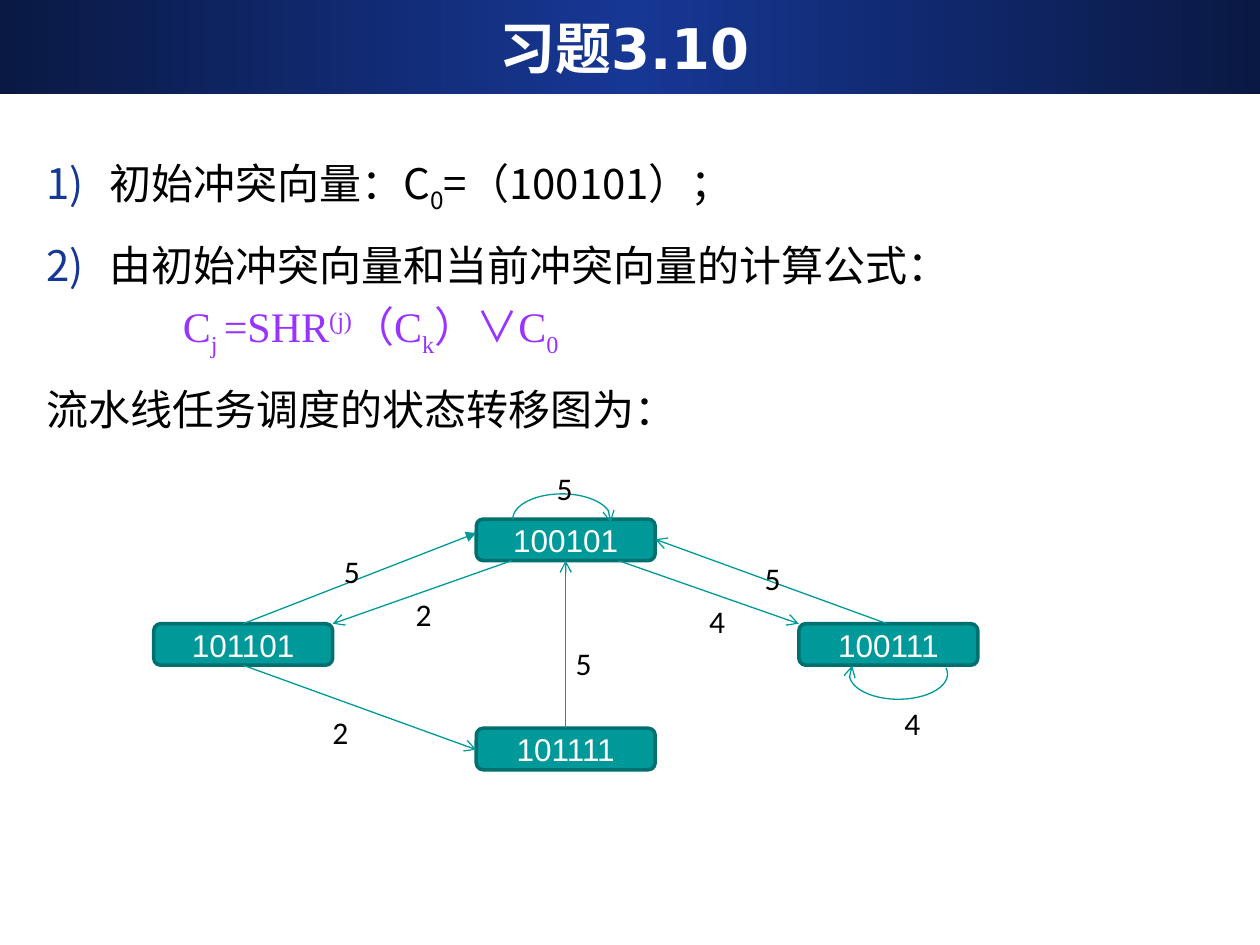
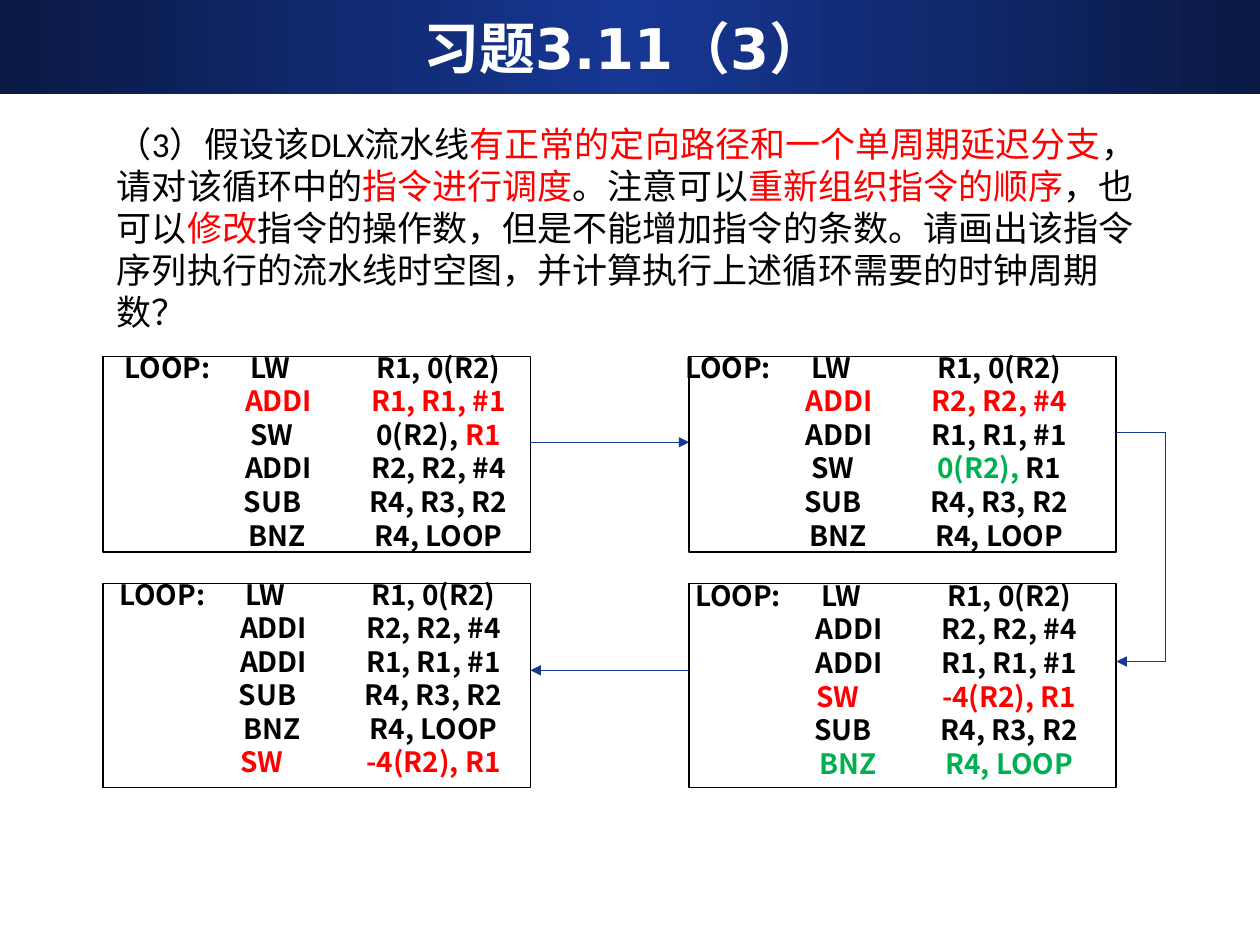
from dataclasses import dataclass
from itertools import pairwise
from math import cos, radians, sin

from lxml import etree
from pptx import Presentation
from pptx.dml.color import RGBColor
from pptx.enum.shapes import MSO_CONNECTOR, MSO_SHAPE
from pptx.enum.text import MSO_ANCHOR, MSO_AUTO_SIZE, PP_ALIGN
from pptx.oxml.ns import qn
from pptx.util import Inches, Pt

CENTER = PP_ALIGN.CENTER
MIDDLE = MSO_ANCHOR.MIDDLE
NO_AUTOFIT = MSO_AUTO_SIZE.NONE
STRAIGHT = MSO_CONNECTOR.STRAIGHT
RECTANGLE = MSO_SHAPE.RECTANGLE
ROUNDED = MSO_SHAPE.ROUNDED_RECTANGLE
TITLE_ONLY = 5
SUBSCRIPT, SUPERSCRIPT = -25, 30


@dataclass(frozen=True)
class Theme:
    navy: str = "0A1944"
    blue: str = "163794"
    teal: str = "009999"
    dark_teal: str = "006F6F"
    violet: str = "9933FF"
    red: str = "FF0000"
    green: str = "00B050"
    black: str = "000000"
    white: str = "FFFFFF"
    title_font: str = "DejaVu Sans"
    chinese_font: str = "Noto Sans CJK SC"
    formula_font: str = "Times New Roman"
    text_font: str = "Calibri"
    state_font: str = "Arial"
    title_size: int = 32
    body_size: int = 24
    question_size: int = 20
    state_size: int = 18
    code_size: int = 16
    thin: float = 0.75


THEME = Theme()


def color(value):
    return RGBColor.from_string(value)


def box(*lengths):
    return [Inches(length) for length in lengths]


def add_xml(parent, tag, **attributes):
    return etree.SubElement(parent, qn(tag), attributes)


class Deck:
    def __init__(self, theme):
        self.theme = theme
        self.presentation = Presentation()
        self.presentation.slide_width = Inches(10)
        self.presentation.slide_height = Inches(7.5)
        self.layout = self.presentation.slide_layouts[TITLE_ONLY]
        self.slide = None

    def add_slide(self, title):
        first = self.slide is None
        self.slide = self.presentation.slides.add_slide(self.layout)
        if first:
            self.move_band_to_layout()
        shape = self.slide.shapes.title
        shape.left, shape.top, shape.width, shape.height = box(0.33, 0.06, 9.25, 0.62)
        frame = shape.text_frame
        frame.text = title
        frame.auto_size = NO_AUTOFIT
        frame.vertical_anchor = MIDDLE
        paragraph = frame.paragraphs[0]
        paragraph.alignment = CENTER
        self.style(paragraph.font, self.theme.title_font, self.theme.title_size,
                   self.theme.white, bold=True)

    def move_band_to_layout(self):
        """Draw the gradient band once, behind the title of every slide."""
        band = self.slide.shapes.add_shape(RECTANGLE, *box(0, 0, 10, 0.75))
        band.shadow.inherit = False
        band.line.fill.background()
        band.fill.gradient()
        band.fill.gradient_angle = 0
        stops = band.fill._fill._gradFill.find(qn("a:gsLst"))
        for stop in list(stops):
            stops.remove(stop)
        for position, value in ((0, self.theme.navy), (50, self.theme.blue),
                                (100, self.theme.navy)):
            stop = add_xml(stops, "a:gs", pos=str(position * 1000))
            add_xml(stop, "a:srgbClr", val=value)
        self.layout.shapes._spTree.insert(2, band._element)

    def style(self, font, name, size, value, bold=False):
        font.size = Pt(size)
        font.bold = bold
        font.color.rgb = color(value)
        font.name = name
        add_xml(font._rPr, "a:ea", typeface=self.theme.chinese_font)

    def text_box(self, left, top, width, height, wrap=True):
        frame = self.slide.shapes.add_textbox(*box(left, top, width, height)).text_frame
        frame.word_wrap = wrap
        return frame

    def fill_paragraph(self, paragraph, runs, name, size, value, bold=False):
        """Each run is plain text, or a pair of text and a colour or baseline."""
        paragraph._p.get_or_add_pPr().set("hangingPunct", "0")
        self.style(paragraph.font, name, size, value, bold)
        for item in runs:
            text, change = (item, None) if isinstance(item, str) else item
            run = paragraph.add_run()
            run.text = text
            if isinstance(change, str):
                run.font.color.rgb = color(change)
            elif change is not None:
                run.font._rPr.set("baseline", str(change * 1000))

    def indent(self, paragraph, left, hanging, numbered=False):
        properties = paragraph._p.get_or_add_pPr()
        properties.set("marL", str(Inches(left)))
        properties.set("indent", str(-Inches(hanging)))
        if numbered:
            bullet_color = add_xml(properties, "a:buClr")
            add_xml(bullet_color, "a:srgbClr", val=self.theme.blue)
            add_xml(properties, "a:buFont", typeface=self.theme.chinese_font)
            add_xml(properties, "a:buAutoNum", type="arabicParenR")

    def outline(self, shape, value, width, arrow=None):
        shape.line.color.rgb = color(value)
        shape.line.width = Pt(width)
        if arrow:
            add_xml(shape.line._get_or_add_ln(), "a:tailEnd", type=arrow)

    def route(self, points, value, arrow):
        """Join the points with straight lines; the last one has the arrowhead."""
        segments = list(pairwise(points))
        for number, (start, end) in enumerate(segments, 1):
            line = self.slide.shapes.add_connector(STRAIGHT, *box(*start, *end))
            self.outline(line, value, self.theme.thin,
                         arrow if number == len(segments) else None)
            add_xml(line._element.spPr, "a:effectLst")

    def state(self, code, left, top):
        shape = self.slide.shapes.add_shape(ROUNDED, *box(left, top, 1.42, 0.33))
        shape.shadow.inherit = False
        shape.fill.solid()
        shape.fill.fore_color.rgb = color(self.theme.teal)
        self.outline(shape, self.theme.dark_teal, 2)
        shape.text_frame.vertical_anchor = MIDDLE
        paragraph = shape.text_frame.paragraphs[0]
        paragraph.alignment = CENTER
        self.fill_paragraph(paragraph, [code], self.theme.state_font,
                            self.theme.state_size, self.theme.white)

    def self_loop(self, center_x, center_y, start, end, steps=32):
        """Elliptical arc between two angles in degrees, clockwise from the right."""
        angles = [radians(start + (end - start) * step / steps)
                  for step in range(steps + 1)]
        points = [box(center_x + 0.39 * cos(angle), center_y + 0.2 * sin(angle))
                  for angle in angles]
        builder = self.slide.shapes.build_freeform(*points[0])
        builder.add_line_segments(points[1:], close=False)
        shape = builder.convert_to_shape()
        shape.shadow.inherit = False
        shape.fill.background()
        self.outline(shape, self.theme.teal, self.theme.thin, "arrow")

    def label(self, text, left, top):
        frame = self.text_box(left, top, 0.32, 0.4, wrap=False)
        self.fill_paragraph(frame.paragraphs[0], [text], self.theme.text_font,
                            self.theme.state_size, self.theme.black)

    def listing(self, left, top, width, rows):
        frame = self.text_box(left, top, width, 1.7)
        frame.vertical_anchor = MIDDLE
        for number, runs in enumerate(rows):
            paragraph = frame.add_paragraph() if number else frame.paragraphs[0]
            paragraph.alignment = CENTER
            tabs = add_xml(paragraph._p.get_or_add_pPr(), "a:tabLst")
            for inch in range(8):
                add_xml(tabs, "a:tab", pos=str(Inches(inch)), algn="l")
            self.fill_paragraph(paragraph, runs, self.theme.chinese_font,
                                self.theme.code_size, self.theme.black, bold=True)

    def frame(self, left, top, height):
        shape = self.slide.shapes.add_shape(RECTANGLE, *box(left, top, 3.39, height))
        shape.shadow.inherit = False
        shape.fill.background()
        self.outline(shape, self.theme.black, 1)


def build_state_diagram(deck):
    theme = deck.theme
    deck.add_slide("习题3.10")
    for code, left, top in (("100101", 3.78, 4.12), ("101101", 1.22, 4.95),
                            ("100111", 6.34, 4.95), ("101111", 3.78, 5.78)):
        deck.state(code, left, top)
    transitions = (
        ((1.93, 4.95), (3.78, 4.23), "triangle"),
        ((1.93, 5.28), (3.78, 5.95), "arrow"),
        ((4.49, 5.78), (4.49, 4.45), "arrow"),
        ((4.91, 4.45), (6.34, 4.95), "arrow"),
        ((4.06, 4.45), (2.64, 4.95), "arrow"),
        ((7.04, 4.95), (5.2, 4.28), "arrow"),
    )
    for start, end, arrow in transitions:
        deck.route((start, end), theme.teal, arrow)
    deck.self_loop(4.46, 4.12, 180, 368)
    deck.self_loop(7.13, 5.35, -14, 200)
    for text, left, top in (("5", 2.63, 4.33), ("5", 4.32, 3.67), ("2", 3.2, 4.67),
                            ("2", 2.54, 5.61), ("5", 4.47, 5.06), ("5", 5.97, 4.39),
                            ("4", 5.53, 4.73), ("4", 7.08, 5.54)):
        deck.label(text, left, top)

    body = deck.text_box(0.27, 0.97, 8.59, 2.52)
    steps = (
        (["初始冲突向量：C", ("0", SUBSCRIPT), "=（100101）；"], theme.chinese_font, True),
        (["由初始冲突向量和当前冲突向量的计算公式："], theme.formula_font, True),
        ([" C", ("j ", SUBSCRIPT), "=SHR", ("(j)", SUPERSCRIPT), "（C",
          ("k", SUBSCRIPT), "）∨C", ("0", SUBSCRIPT)], theme.formula_font, False),
        (["流水线任务调度的状态转移图为："], theme.chinese_font, False),
    )
    for number, (runs, font, numbered) in enumerate(steps):
        paragraph = body.add_paragraph() if number else body.paragraphs[0]
        is_formula = number == 2
        if is_formula:
            paragraph.space_before = Pt(6)
            deck.indent(paragraph, 1.25, 0.25)
        else:
            paragraph.line_spacing = 1.5
            deck.indent(paragraph, 0.5, 0.5, numbered)
        deck.fill_paragraph(paragraph, runs, font, theme.body_size,
                            theme.violet if is_formula else theme.black)


def build_scheduling(deck):
    theme = deck.theme
    red, green = theme.red, theme.green
    deck.add_slide("习题3.11（3）")
    load = ["LOOP:\tLW\tR1, 0(R2)"]
    add_value = ["\tADDI\tR1, R1, #1"]
    add_address = ["\tADDI\tR2, R2, #4"]
    subtract = ["\tSUB\tR4, R3, R2"]
    branch = ["\tBNZ\tR4, LOOP"]
    moved_store = ["\t", ("SW\t-4(R2), R1", red)]

    deck.listing(0.59, 2.73, 3.78, [
        load, ["\t", ("ADDI\tR1, R1, #1", red)], ["\tSW\t0(R2), ", ("R1", red)],
        add_address, subtract, branch])
    deck.listing(4.92, 2.73, 4.02, [
        load, ["\t", ("ADDI\tR2, R2, #4", red)], add_value,
        ["\tSW\t", ("0(R2), ", green), "R1"], subtract, branch])
    deck.listing(5, 4.54, 4.02, [
        load, add_address, add_value, moved_store, subtract,
        ["\t", ("BNZ\tR4, LOOP", green)]])
    deck.listing(0.43, 4.53, 4.02, [
        load, add_address, add_value, subtract, branch, moved_store])

    for top, height in ((2.83, 1.55), (4.63, 1.62)):
        for left in (0.82, 5.47):
            deck.frame(left, top, height)
    for points in (((4.21, 3.51), (5.47, 3.51)),
                   ((8.86, 3.43), (9.25, 3.43), (9.25, 5.25), (8.86, 5.25)),
                   ((5.47, 5.32), (4.21, 5.32))):
        deck.route(points, theme.blue, "triangle")

    question = deck.text_box(0.83, 0.92, 8.43, 1.77).paragraphs[0]
    deck.fill_paragraph(question, [
        "（3）假设该DLX流水线", ("有正常的定向路径和一个单周期延迟分支", red),
        "，请对该循环中的", ("指令进行调度", red),
        "。注意可以", ("重新组织指令的顺序", red),
        "，也可以", ("修改", red),
        "指令的操作数，但是不能增加指令的条数。请画出该指令序列执行的流水线时空图，"
        "并计算执行上述循环需要的时钟周期数？",
    ], theme.text_font, theme.question_size, theme.black)


def main():
    deck = Deck(THEME)
    build_state_diagram(deck)
    build_scheduling(deck)
    deck.presentation.save("out.pptx")


if __name__ == "__main__":
    main()
